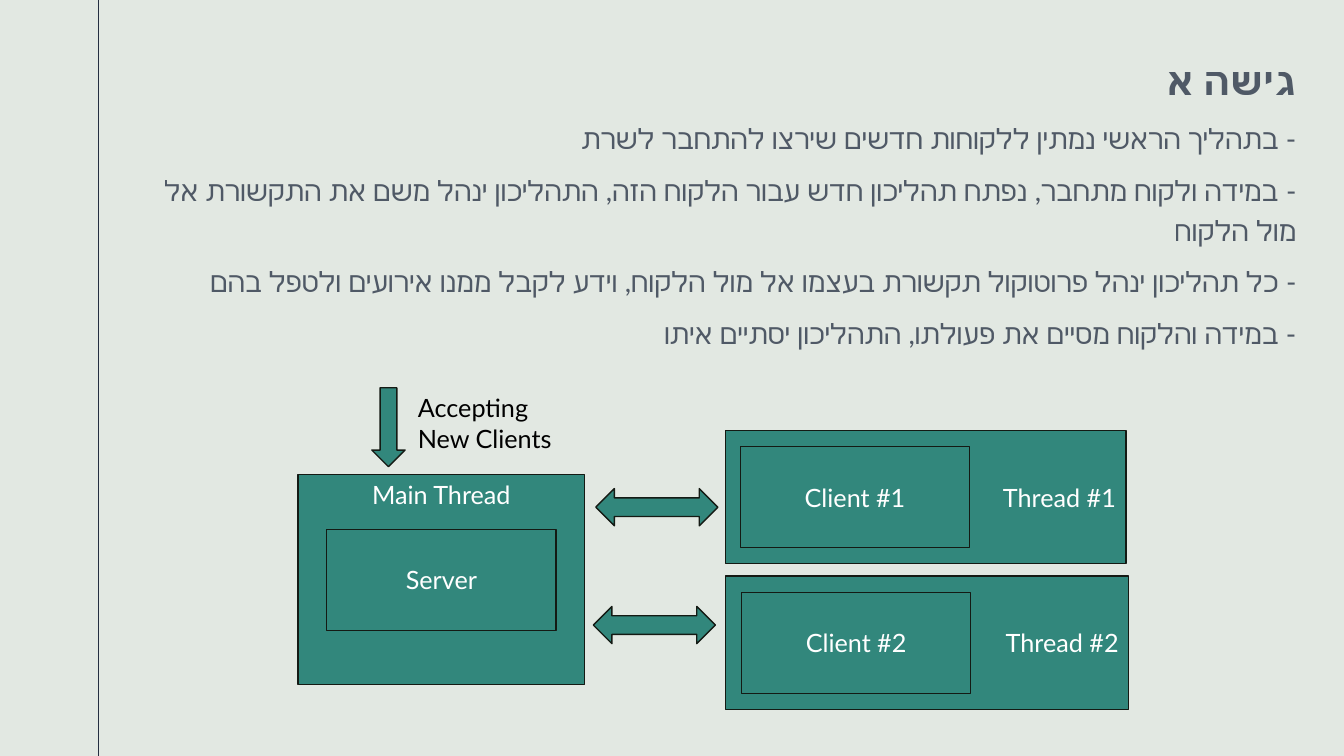
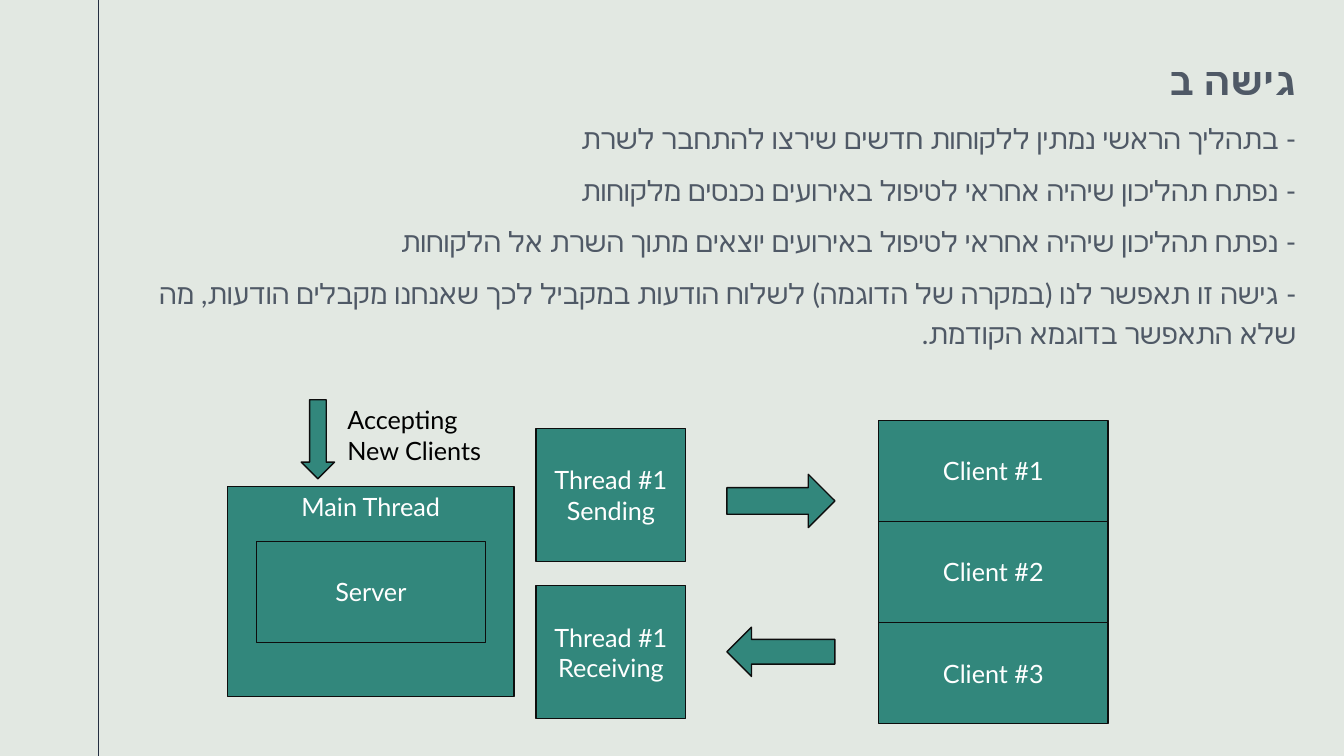
"""Build two slides that compare threading approaches for a chat server."""
from dataclasses import dataclass

from lxml.etree import SubElement
from pptx import Presentation
from pptx.dml.color import RGBColor
from pptx.enum.shapes import MSO_CONNECTOR, MSO_SHAPE
from pptx.enum.text import MSO_ANCHOR as Anchor, PP_ALIGN as Align
from pptx.oxml.ns import qn
from pptx.slide import Slide
from pptx.text.text import _Paragraph as Paragraph
from pptx.util import Pt

SAGE = RGBColor(0xE2, 0xE8, 0xE2)
NAVY = RGBColor(0x24, 0x2E, 0x41)
TEAL = RGBColor(0x32, 0x87, 0x7C)
DARK_GREEN = RGBColor(0x14, 0x1A, 0x14)
NEAR_BLACK = RGBColor(0x0D, 0x0D, 0x0D)
WHITE = RGBColor(0xFF, 0xFF, 0xFF)
BLACK = RGBColor(0, 0, 0)

FONT = "Lato"
TEXT_OPACITY = 77000
PAGE_WIDTH, PAGE_HEIGHT = 960, 540
RULE_LEFT = 70.7
THREAD_HEIGHT = 95.2
CLIENT_WIDTH, CLIENT_HEIGHT = 163.8, 72.2
MAIN_WIDTH, MAIN_HEIGHT = 204.6, 150


@dataclass(frozen=True)
class Box:
    left: float
    top: float
    width: float
    height: float
    text: str = ""
    shape: MSO_SHAPE = MSO_SHAPE.RECTANGLE
    align: Align = Align.CENTER
    anchor: Anchor = Anchor.MIDDLE


@dataclass(frozen=True)
class Approach:
    title: str
    points: tuple[str, ...]
    outline: RGBColor
    main_left: float
    main_top: float
    boxes: tuple[Box, ...]


def client(left: float, top: float, number: int) -> Box:
    return Box(left, top, CLIENT_WIDTH, CLIENT_HEIGHT, f"Client #{number}")


def thread_with_client(top: float, width: float, inset: float, number: int) -> tuple[Box, Box]:
    left = 518.2
    thread = Box(left, top, width, THREAD_HEIGHT, f"Thread #{number}", align=Align.RIGHT)
    return thread, client(left + inset, top + 11.5, number)


def worker(top: float, task: str) -> Box:
    return Box(383, top, 106.8, THREAD_HEIGHT, f"Thread #1\n{task}")


APPROACHES = (
    Approach(
        "גישה א",
        (
            "- בתהליך הראשי נמתין ללקוחות חדשים שירצו להתחבר לשרת",
            "- במידה ולקוח מתחבר, נפתח תהליכון חדש עבור הלקוח הזה, התהליכון ינהל משם את התקשורת אל מול הלקוח",
            "- כל תהליכון ינהל פרוטוקול תקשורת בעצמו אל מול הלקוח, וידע לקבל ממנו אירועים ולטפל בהם",
            "- במידה והלקוח מסיים את פעולתו, התהליכון יסתיים איתו",
        ),
        DARK_GREEN, 213, 339,
        (
            *thread_with_client(307.4, 286, 10.6, 1),
            *thread_with_client(411.6, 288, 11.4, 2),
            Box(425.6, 349, 87.2, 26.6, shape=MSO_SHAPE.LEFT_RIGHT_ARROW),
            Box(423.8, 433.2, 87.2, 26.6, shape=MSO_SHAPE.LEFT_RIGHT_ARROW),
        ),
    ),
    Approach(
        "גישה ב",
        (
            "- בתהליך הראשי נמתין ללקוחות חדשים שירצו להתחבר לשרת",
            "- נפתח תהליכון שיהיה אחראי לטיפול באירועים נכנסים מלקוחות",
            "- נפתח תהליכון שיהיה אחראי לטיפול באירועים יוצאים מתוך השרת אל הלקוחות",
            "- גישה זו תאפשר לנו (במקרה של הדוגמה) לשלוח הודעות במקביל לכך שאנחנו מקבלים הודעות, "
            "מה שלא התאפשר בדוגמא הקודמת.",
        ),
        NEAR_BLACK, 162.6, 347.6,
        (
            worker(306, "Sending"),
            worker(418.2, "Receiving"),
            *(client(627.6, 300.2 + row * CLIENT_HEIGHT, row + 1) for row in range(3)),
            Box(519.2, 338.8, 77.2, 38, shape=MSO_SHAPE.RIGHT_ARROW),
            Box(519.2, 448, 77.2, 35.2, shape=MSO_SHAPE.LEFT_ARROW),
        ),
    ),
)


def style(para: Paragraph, size: float, color: RGBColor, bold: bool = False) -> None:
    para.font.name = FONT
    para.font.size = Pt(size)
    para.font.bold = bold
    para.font.color.rgb = color


def draw_box(page: Slide, box: Box, outline: RGBColor) -> None:
    shape = page.shapes.add_shape(
        box.shape, Pt(box.left), Pt(box.top), Pt(box.width), Pt(box.height)
    )
    shape.shadow.inherit = False
    shape.fill.solid()
    shape.fill.fore_color.rgb = TEAL
    shape.line.color.rgb = outline
    shape.line.width = Pt(1)
    if not box.text:
        return
    frame = shape.text_frame
    frame.word_wrap = True
    frame.vertical_anchor = box.anchor
    frame.text = box.text
    for para in frame.paragraphs:
        para.alignment = box.align
        style(para, 18, WHITE)


def draw_server(page: Slide, left: float, top: float, outline: RGBColor) -> None:
    arrow_top = top - 62
    for box in (
        Box(left, top, MAIN_WIDTH, MAIN_HEIGHT, "Main Thread", anchor=Anchor.TOP),
        Box(left + (MAIN_WIDTH - CLIENT_WIDTH) / 2, top + 39, CLIENT_WIDTH, CLIENT_HEIGHT, "Server"),
        Box(left + 52.6, arrow_top, 23.8, 56.4, shape=MSO_SHAPE.DOWN_ARROW),
    ):
        draw_box(page, box, outline)
    label = page.shapes.add_textbox(Pt(left + 78.4), Pt(arrow_top), Pt(129), Pt(51))
    label.text_frame.word_wrap = True
    label.text_frame.text = "Accepting New Clients"
    style(label.text_frame.paragraphs[0], 18, BLACK)


def draw_rule(page: Slide) -> None:
    rule = page.shapes.add_connector(
        MSO_CONNECTOR.STRAIGHT, Pt(RULE_LEFT), Pt(0), Pt(RULE_LEFT), Pt(PAGE_HEIGHT)
    )
    rule.line.color.rgb = NAVY
    rule.line.width = Pt(0.75)
    SubElement(rule._element.spPr, qn("a:effectLst"))


def draw_points(page: Slide, title: str, points: tuple[str, ...]) -> None:
    frame = page.shapes.add_textbox(Pt(106.4), Pt(33.7), Pt(819.4), Pt(304)).text_frame
    frame.word_wrap = True
    frame.margin_left = frame.margin_right = frame.margin_top = frame.margin_bottom = 0
    frame.text = "\n".join((title, *points))
    for index, para in enumerate(frame.paragraphs):
        is_title = index == 0
        para.alignment = Align.RIGHT
        para.line_spacing = 1.2
        para.space_before = Pt(0 if is_title else 8)
        style(para, 28 if is_title else 20, NAVY, bold=is_title)
        properties = para._p.get_or_add_pPr()
        properties.set("rtl", "1")
        color = properties.find(".//" + qn("a:srgbClr"))
        SubElement(color, qn("a:alpha"), val=str(TEXT_OPACITY))
        SubElement(properties.find(qn("a:defRPr")), qn("a:cs"), typeface=FONT)


def main() -> None:
    deck = Presentation()
    deck.slide_width, deck.slide_height = Pt(PAGE_WIDTH), Pt(PAGE_HEIGHT)
    background = deck.slide_master.background.fill
    background.solid()
    background.fore_color.rgb = SAGE
    for approach in APPROACHES:
        page = deck.slides.add_slide(deck.slide_layouts[6])
        draw_rule(page)
        draw_points(page, approach.title, approach.points)
        draw_server(page, approach.main_left, approach.main_top, approach.outline)
        for box in approach.boxes:
            draw_box(page, box, approach.outline)
    deck.save("out.pptx")


if __name__ == "__main__":
    main()
